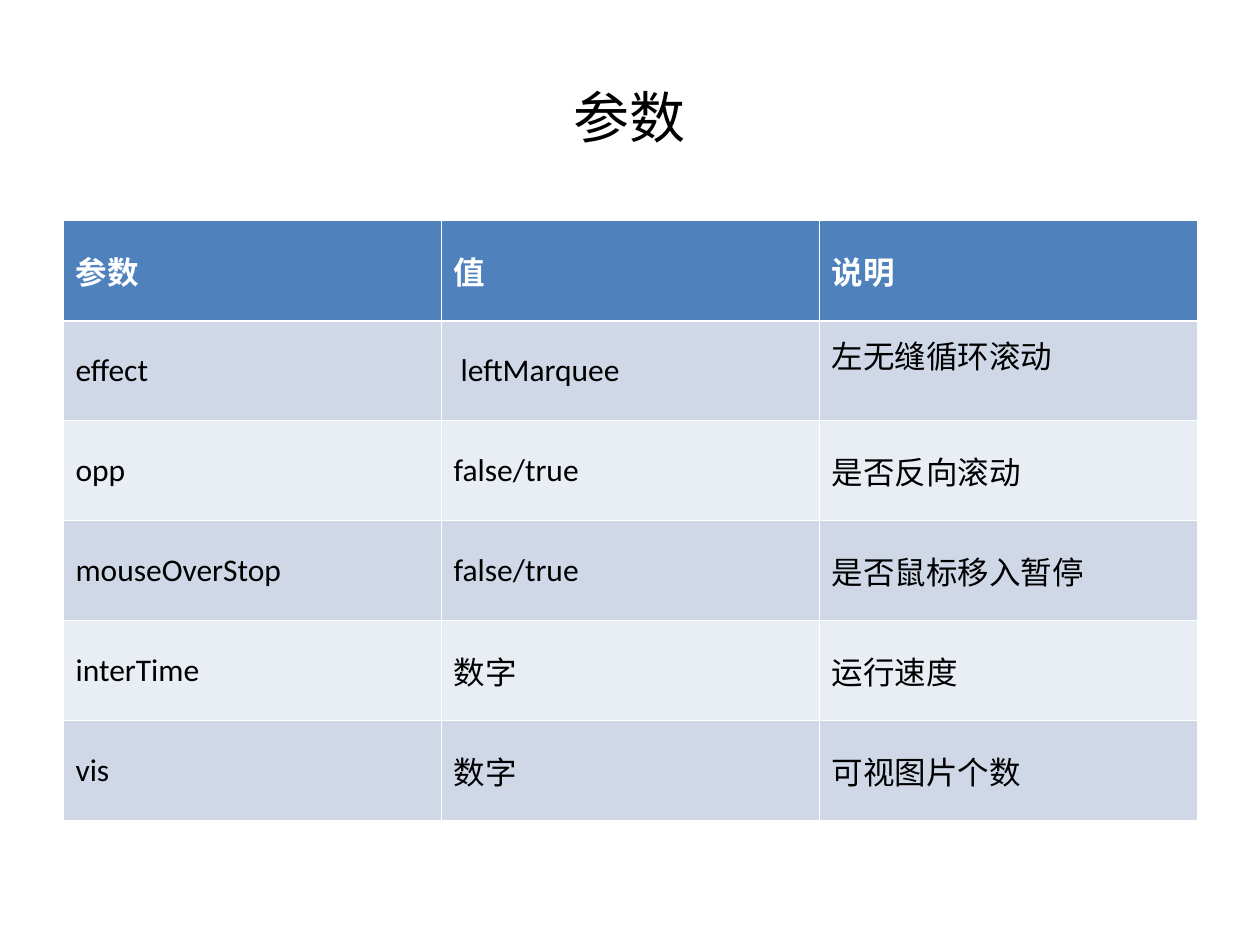
from dataclasses import dataclass

from lxml import etree
from pptx import Presentation
from pptx.dml.color import RGBColor
from pptx.enum import text
from pptx.oxml import ns
from pptx import util as u


@dataclass(frozen=True)
class Theme:
    ink: str = "000000"
    white: str = "FFFFFF"
    header: str = "4F81BD"
    bands: tuple = ("D0D8E8", "E9EDF4")
    title_font: str = "Arial"
    body_font: str = "Calibri"
    title_size: float = 32
    body_size: float = 18
    thin: float = 0.45
    thick: float = 1.47


HEADINGS = ("参数", "值", "说明")
PARAMETERS = (
    ("effect", " leftMarquee", "左无缝循环滚动"),
    ("opp", "false/true", "是否反向滚动"),
    ("mouseOverStop", "false/true", "是否鼠标移入暂停"),
    ("interTime", "数字", "运行速度"),
    ("vis", "数字", "可视图片个数"),
)


class SlideBuilder:
    def __init__(self, deck, theme):
        self.theme = theme
        self.page = deck.slides.add_slide(deck.slide_layouts[6])

    def add_span(self, para, words, color, **formats):
        span = para.add_run()
        span.text = words
        for name, value in formats.items():
            setattr(span.font, name, value)
        span.font.color.rgb = RGBColor.from_string(color)

    def title(self, words, left, top, width, height):
        box = self.page.shapes.add_textbox(left, top, width, height)
        frame = box.text_frame
        frame.word_wrap = True
        frame.vertical_anchor = text.MSO_ANCHOR.MIDDLE
        para = frame.paragraphs[0]
        para.alignment = text.PP_ALIGN.CENTER
        self.add_span(para, words, self.theme.ink, name=self.theme.title_font,
                      size=u.Pt(self.theme.title_size))

    def borders(self, cell, widths):
        # Side lines come before the fill in the cell properties
        properties = cell._tc.get_or_add_tcPr()
        for index, (side, points) in enumerate(widths.items()):
            line = etree.Element(ns.qn(f"a:ln{side}"), w=str(u.Pt(points)))
            fill = etree.SubElement(line, ns.qn("a:solidFill"))
            etree.SubElement(fill, ns.qn("a:srgbClr"), val=self.theme.white)
            properties.insert(index, line)

    def cell(self, cell, words, row):
        theme = self.theme
        is_header = row == 0
        fill = theme.header if is_header else theme.bands[(row - 1) % 2]
        cell.fill.solid()
        cell.fill.fore_color.rgb = RGBColor.from_string(fill)
        cell.vertical_anchor = text.MSO_ANCHOR.MIDDLE
        para = cell.text_frame.paragraphs[0]
        para.space_before = u.Pt(4.5)
        self.add_span(para, words, theme.white if is_header else theme.ink,
                      name=theme.body_font, size=u.Pt(theme.body_size), bold=is_header)
        self.borders(cell, {
            "L": theme.thin,
            "R": theme.thin,
            "T": theme.thick if row == 1 else theme.thin,
            "B": theme.thick if is_header else theme.thin,
        })

    def table(self, rows, left, top, width, height):
        grid = self.page.shapes.add_table(
            len(rows), len(rows[0]), left, top, width, height).table
        for row, entries in enumerate(rows):
            for column, words in enumerate(entries):
                self.cell(grid.cell(row, column), words, row)
        return grid


def main():
    deck = Presentation()
    deck.slide_width, deck.slide_height = u.Cm(25.4), u.Cm(19.05)
    builder = SlideBuilder(deck, Theme())
    left, width = u.Cm(1.27), u.Cm(22.86)

    # Title
    builder.title("参数", left, u.Cm(0.76), width, u.Cm(3.18))

    # Parameter table
    grid = builder.table((HEADINGS, *PARAMETERS), left, u.Cm(4.45), width, u.Cm(12.09))

    # The first description sits above the middle of its row
    grid.cell(1, 2).margin_bottom = u.Cm(0.76)

    deck.save("out.pptx")


if __name__ == "__main__":
    main()
